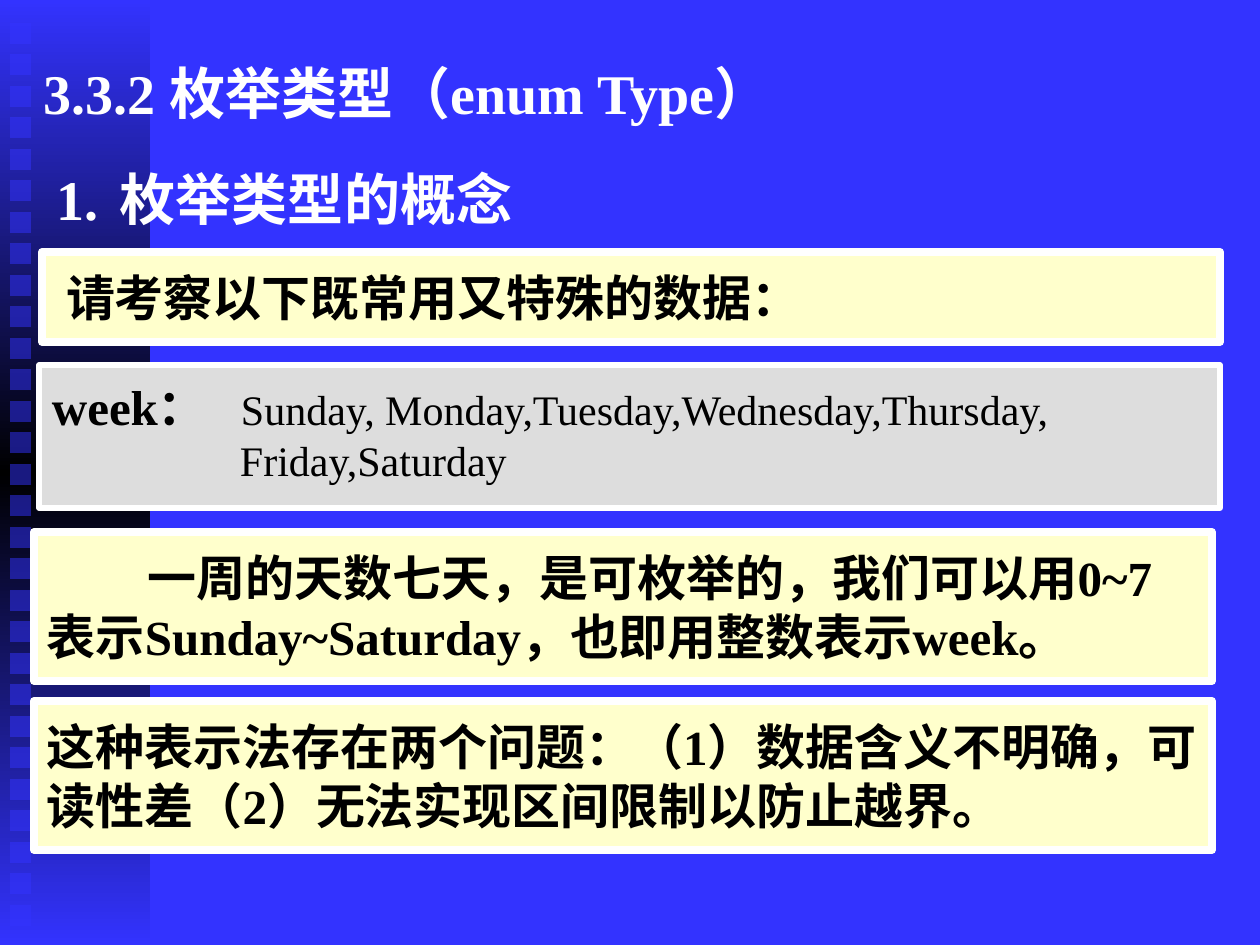
from lxml import etree
from pptx import Presentation
from pptx.dml.color import RGBColor
from pptx.enum.shapes import MSO_SHAPE
from pptx.enum.text import MSO_ANCHOR, PP_ALIGN
from pptx.oxml.ns import qn
from pptx.util import Pt

PX = 914400 / 126
RECT = MSO_SHAPE.RECTANGLE
MIDDLE, TOP, LEFT = MSO_ANCHOR.MIDDLE, MSO_ANCHOR.TOP, PP_ALIGN.LEFT
BLUE, BLACK, WHITE = "3333FF", "000000", "FFFFFF"
GRAY, CREAM = "DDDDDD", "FFFFCC"


def color(value):
    return RGBColor.from_string(value)


def write(box, lines, ink, anchor, top_inset):
    """Fill a box with lines of (left margin, first indent, tab, spans)."""
    frame = box.text_frame
    frame.word_wrap = True
    frame.vertical_anchor = anchor
    frame.margin_left = frame.margin_right = round(13 * PX)
    frame.margin_top, frame.margin_bottom = round(top_inset * PX), round(6 * PX)
    for number, (margin, indent, tab, spans) in enumerate(lines):
        para = frame.paragraphs[0] if number == 0 else frame.add_paragraph()
        para.alignment = LEFT
        props = para._p.get_or_add_pPr()
        props.set("marL", str(round(margin * PX)))
        props.set("indent", str(round(indent * PX)))
        if tab:
            tabs = etree.SubElement(props, qn("a:tabLst"))
            etree.SubElement(tabs, qn("a:tab"), pos=str(round(tab * PX)), algn="l")
        para.font.name = "Times New Roman"
        para.font.color.rgb = color(ink)
        for text, size, bold in spans:
            span = para.add_run()
            span.text = text
            span.font.size = Pt(size)
            span.font.bold = bold


deck = Presentation()
deck.slide_width, deck.slide_height = round(1260 * PX), round(945 * PX)
page = deck.slides.add_slide(deck.slide_layouts[6])
page.background.fill.solid()
page.background.fill.fore_color.rgb = color(BLUE)

# Side band, blue to black to blue
band = page.shapes.add_shape(RECT, 0, 0, round(150 * PX), round(945 * PX))
band.shadow.inherit = False
band.line.fill.background()
band.fill.gradient()
band.fill.gradient_angle = 90
stops = band._element.spPr.find(qn("a:gradFill")).find(qn("a:gsLst"))
for stop in list(stops):
    stops.remove(stop)
for percent, value in ((0, BLUE), (50, BLACK), (100, BLUE)):
    stop = etree.SubElement(stops, qn("a:gs"), pos=str(percent * 1000))
    etree.SubElement(stop, qn("a:srgbClr"), val=value)

# Column of half-transparent squares, two per 63 px
for row in range(29):
    top = 23 + row * 63 // 2
    square = page.shapes.add_shape(
        RECT, round(10 * PX), round(top * PX), round(21 * PX), round(21 * PX))
    square.shadow.inherit = False
    square.line.fill.background()
    square.fill.solid()
    square.fill.fore_color.rgb = color(BLUE)
    tint = square._element.spPr.find(qn("a:solidFill"))[0]
    etree.SubElement(tint, qn("a:alpha"), val="50000")

# Headings
headings = [
    (31, 29, 154, "3.3.2\t枚举类型（enum Type）"),
    (44, 135, 84, "1.\t枚举类型的概念"),
]
for left, top, tab, text in headings:
    heading = page.shapes.add_textbox(
        round(left * PX), round(top * PX), round(1071 * PX), round(126 * PX))
    write(heading, [(0, 0, tab, [(text, 32, True)])], WHITE, MIDDLE, 6)

# Framed panels: left, top, width, height, fill, frame, top inset, lines
week = [
    (0, 0, 178, [("week：\t", 28, True),
                 ("Sunday, Monday,Tuesday,Wednesday,Thursday,", 24, False)]),
    (188, 0, 0, [("Friday,Saturday", 24, False)]),
]
intro = [(11, 0, 0, [("请考察以下既常用又特殊的数据：", 28, True)])]
coding = [(0, 101, 0, [(
    "一周的天数七天，是可枚举的，我们可以用0~7表示Sunday~Saturday，也即用整数表示week。",
    28, True)])]
problems = [(0, 0, 0, [(
    "这种表示法存在两个问题：（1）数据含义不明确，可读性差（2）无法实现区间限制以防止越界。",
    28, True)])]
panels = [
    (39, 365, 1181, 143, GRAY, 3, 11, week),
    (42, 252, 1178, 90, CREAM, 4.5, 16, intro),
    (34, 532, 1178, 149, CREAM, 4.5, 16, coding),
    (34, 701, 1178, 149, CREAM, 4.5, 16, problems),
]
for left, top, width, height, fill, frame_width, inset, lines in panels:
    panel = page.shapes.add_shape(
        RECT, round(left * PX), round(top * PX), round(width * PX), round(height * PX))
    panel.shadow.inherit = False
    panel.fill.solid()
    panel.fill.fore_color.rgb = color(fill)
    panel.line.color.rgb = color(WHITE)
    panel.line.width = Pt(frame_width)
    write(panel, lines, BLACK, TOP, inset)

deck.save("out.pptx")
